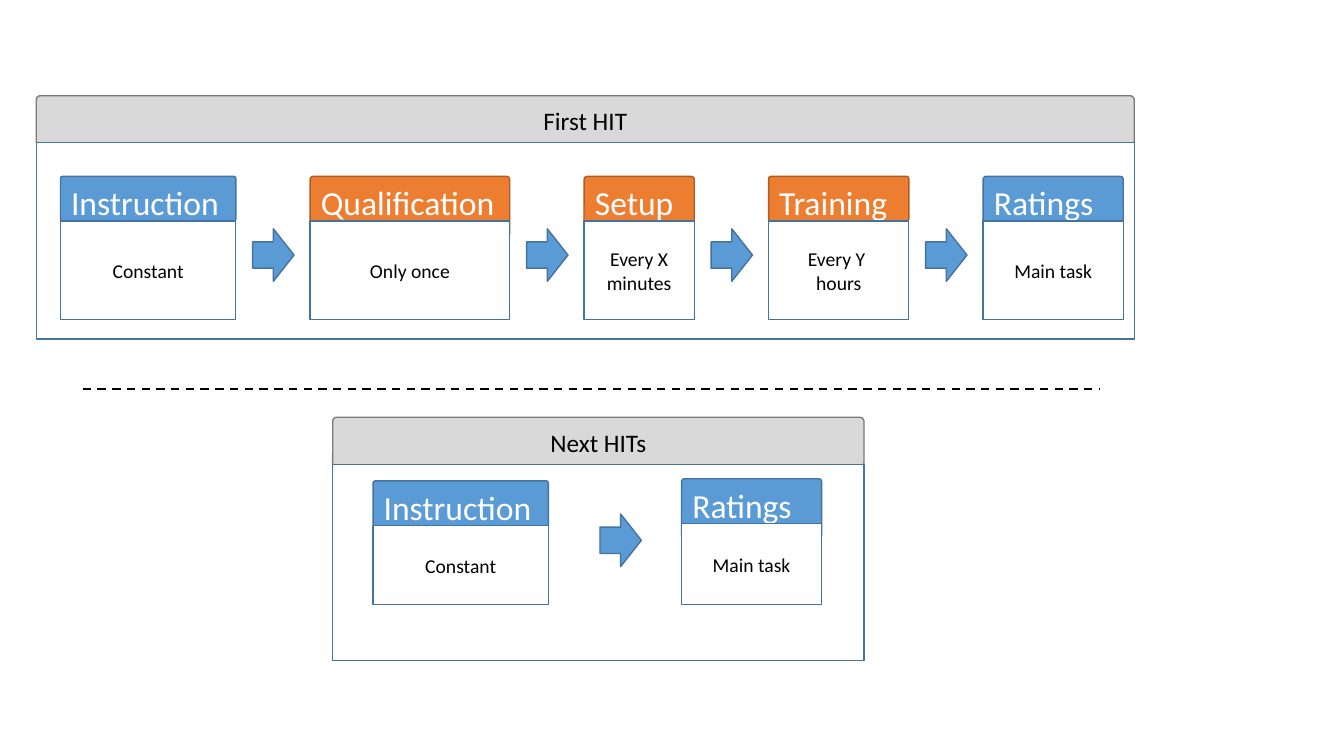
import pptx
import pptx.util
import pptx.dml.color
import pptx.enum.dml
import pptx.enum.shapes
import pptx.enum.text
import pptx.oxml.ns
import lxml.etree

COLORS = {
    "white": "FFFFFF", "black": "000000", "grey": "D9D9D9", "grey_line": "7A7A7A",
    "blue": "5B9BD5", "blue_line": "43739E", "orange": "ED7D31", "orange_line": "AF5C24",
}
SHAPES = pptx.enum.shapes.MSO_SHAPE
ANCHORS = pptx.enum.text.MSO_ANCHOR
ALIGNMENTS = pptx.enum.text.PP_ALIGN

# Text formats: frame, paragraph and font values
HEADER_TEXT = {"size": 18, "color": "black", "paragraph": {"alignment": ALIGNMENTS.CENTER},
               "frame": {"vertical_anchor": ANCHORS.MIDDLE, "word_wrap": True}}
BODY_TEXT = {**HEADER_TEXT, "size": 14}
TAB_TEXT = {"size": 24, "color": "white", "paragraph": {"alignment": ALIGNMENTS.LEFT},
            "frame": {"vertical_anchor": ANCHORS.TOP, "word_wrap": True}}


def rgb(name):
    return pptx.dml.color.RGBColor.from_string(COLORS[name])


def set_values(target, values):
    for name, value in values.items():
        setattr(target, name, value)


class FlowSlide:
    """Places elements on a grid of 100 columns by 100 rows."""
    font = "Calibri"
    arrow_width, arrow_height = 3.08, 6.95

    def __init__(self, presentation):
        self.slide = presentation.slides.add_slide(presentation.slide_layouts[6])
        self.column = presentation.slide_width / 100
        self.row = presentation.slide_height / 100

    def box(self, parent, kind, place, fill, line, text="", text_format=BODY_TEXT, corner=None):
        left, top, width, height = place
        shape = parent.add_shape(kind, int(left * self.column), int(top * self.row),
                                 int(width * self.column), int(height * self.row))
        shape.shadow.inherit = False
        shape.fill.solid()
        shape.fill.fore_color.rgb = rgb(fill)
        shape.line.color.rgb = rgb(line)
        shape.line.width = pptx.util.Pt(1)
        if corner is not None:
            shape.adjustments[0] = corner
        if text:
            self.set_text(shape.text_frame, text, text_format)

    def set_text(self, frame, text, text_format):
        frame.text = text
        set_values(frame, text_format["frame"])
        for paragraph in frame.paragraphs:
            set_values(paragraph, text_format["paragraph"])
            for run in paragraph.runs:
                set_values(run.font, {"name": self.font,
                                      "size": pptx.util.Pt(text_format["size"])})
                run.font.color.rgb = rgb(text_format["color"])

    def panel(self, title, left, top, width):
        group = self.slide.shapes.add_group_shape().shapes
        self.box(group, SHAPES.ROUNDED_RECTANGLE, (left, top, width, 6.53),
                 "grey", "grey_line", title, HEADER_TEXT, 0.08)
        self.box(group, SHAPES.RECTANGLE, (left, top + 6.2, width, 26), "white", "blue_line")

    def card(self, title, note, color, left, top, width, tab_height, body_top, bottom):
        group = self.slide.shapes.add_group_shape().shapes
        self.box(group, SHAPES.ROUNDED_RECTANGLE, (left, top, width, tab_height),
                 color, color + "_line", title, TAB_TEXT, 0.05)
        self.box(group, SHAPES.RECTANGLE, (left, body_top, width, bottom - body_top),
                 "white", "blue_line", note)

    def arrow(self, left, top):
        self.box(self.slide.shapes, SHAPES.RIGHT_ARROW,
                 (left, top, self.arrow_width, self.arrow_height), "blue", "blue_line")

    def flow(self, steps, left, bottom, gap, arrow_offset, arrow_top):
        for index, (title, note, color, width, top, tab_height) in enumerate(steps):
            if index:
                self.arrow(left - gap + arrow_offset, arrow_top)
            self.card(title, note, color, left, top, width, tab_height, top + 5.93, bottom)
            left += width + gap

    def dashed_line(self, left, right, top):
        line = self.slide.shapes.add_connector(
            pptx.enum.shapes.MSO_CONNECTOR.STRAIGHT, int(left * self.column),
            int(top * self.row), int(right * self.column), int(top * self.row))
        line.line.color.rgb = rgb("black")
        set_values(line.line, {"width": pptx.util.Pt(1.5),
                               "dash_style": pptx.enum.dml.MSO_LINE.DASH})
        properties = line._element.find(pptx.oxml.ns.qn("p:spPr"))
        lxml.etree.SubElement(properties, pptx.oxml.ns.qn("a:effectLst"))


presentation = pptx.Presentation()
presentation.slide_width = pptx.util.Inches(13.33)
presentation.slide_height = pptx.util.Inches(7.5)
hits = FlowSlide(presentation)

# Panels: title, left, top, width
hits.panel("Next HITs", 24.76, 55.2, 39.53)
hits.panel("First HIT", 2.7, 12.67, 81.7)

# Steps: title, note, color, width, top, tab height
first_steps = [
    ("Instruction", "Constant", "blue", 13.05, 23.33, 5.93),
    ("Qualification", "Only once", "orange", 14.85, 23.33, 7.87),
    ("Setup", "Every X minutes", "orange", 8.2, 23.33, 7.87),
    ("Training", "Every Y \nhours", "orange", 10.43, 23.33, 5.93),
    ("Ratings", "Main task", "blue", 10.43, 23.33, 7.87),
]
next_steps = [
    ("Instruction", "Constant", "blue", 13.05, 63.6, 6),
    ("Ratings", "Main task", "blue", 10.43, 63.33, 7.87),
]
hits.flow(first_steps, left=4.5, bottom=42.3, gap=5.53, arrow_offset=1.25, arrow_top=30.27)
hits.flow(next_steps, left=27.76, bottom=80, gap=9.9, arrow_offset=3.83, arrow_top=68)

# Divider between the panels
hits.dashed_line(6.15, 81.85, 51.47)

presentation.save("out.pptx")
